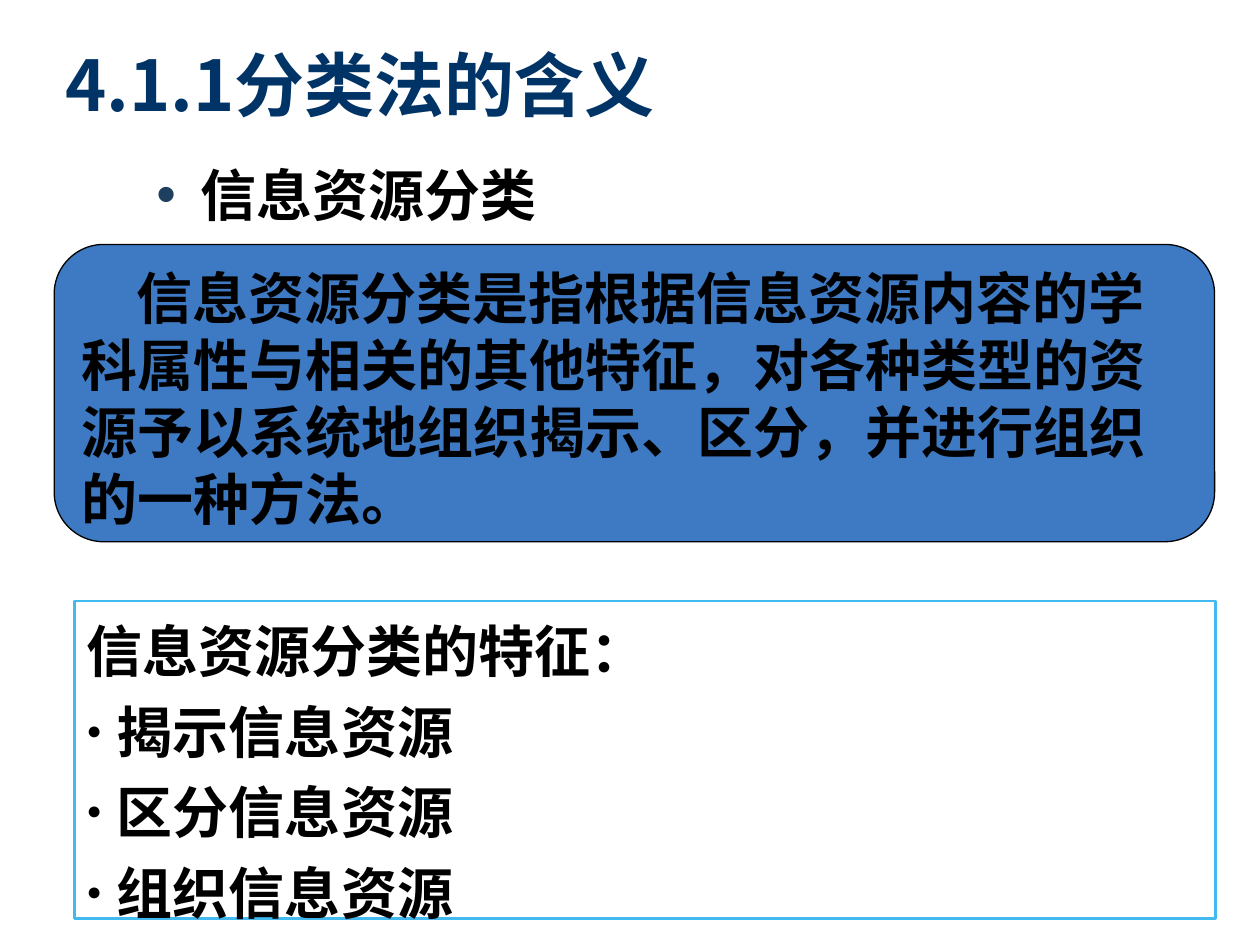
"""Build the slide on what classification of information resources means."""
from dataclasses import dataclass
from typing import NamedTuple, Optional

from lxml import etree
from pptx import Presentation
from pptx import util as u
from pptx.dml.color import RGBColor as Rgb
from pptx.enum import shapes, text
from pptx.oxml.ns import qn


@dataclass(frozen=True)
class Theme:
    navy: str = "003366"
    slate: str = "1F3F5F"
    black: str = "000000"
    white: str = "FFFFFF"
    blue: str = "3D7AC3"
    sky: str = "42BAF0"
    latin: str = "Arial"
    asian: str = "Noto Sans CJK SC"
    head: int = 40
    size: int = 32


class Mark(NamedTuple):
    char: str
    color: str
    scale: int
    hang: float


class Line(NamedTuple):
    words: str
    pitch: float
    mark: Optional[Mark] = None
    indent: float = 0


class Panel(NamedTuple):
    kind: shapes.MSO_SHAPE
    area: tuple[float, ...]
    fill: str
    edge: str
    weight: float
    lines: list[Line]


THEME = Theme()
DOT = Mark("•", THEME.slate, 100, 0.35)
DISC = Mark("●", THEME.black, 45, 0.24)
MEANING = ["信息资源分类是指根据信息资源内容的学", "科属性与相关的其他特征，对各种类型的资",
           "源予以系统地组织揭示、区分，并进行组织", "的一种方法。"]
TRAITS = ["揭示信息资源", "区分信息资源", "组织信息资源"]
PANELS = [
    Panel(shapes.MSO_SHAPE.ROUNDED_RECTANGLE, (0.43, 1.94, 9.21, 2.36),
          THEME.blue, THEME.black, 0.75,
          [Line(words, 38.4, indent=0 if i else 0.44) for i, words in enumerate(MEANING)]),
    Panel(shapes.MSO_SHAPE.RECTANGLE, (0.59, 4.77, 9.06, 2.52),
          THEME.white, THEME.sky, 1.5,
          [Line("信息资源分类的特征：", 46)] + [Line(words, 46, DISC) for words in TRAITS]),
]


def place(shape, area: tuple[float, ...]) -> None:
    """Move and size a shape in inches."""
    shape.left, shape.top, shape.width, shape.height = map(u.Inches, area)


def add_run(para, words: str, size: int, color: str, face: str) -> None:
    """Add one bold run."""
    run = para.add_run()
    run.text = words
    font = run.font
    font.size, font.bold, font.name = u.Pt(size), True, face
    font.color.rgb = Rgb.from_string(color)
    etree.SubElement(font._element, qn("a:ea"), typeface=THEME.asian)


def set_mark(para, mark: Optional[Mark], indent: float) -> None:
    """Set the bullet and the indents of a paragraph."""
    props = para._p.get_or_add_pPr()
    hang = mark.hang if mark else 0
    props.set("marL", str(u.Inches(hang)))
    props.set("indent", str(u.Inches(indent - hang)))
    if mark is None:
        etree.SubElement(props, qn("a:buNone"))
        return
    color = etree.SubElement(props, qn("a:buClr"))
    etree.SubElement(color, qn("a:srgbClr"), val=mark.color)
    etree.SubElement(props, qn("a:buSzPct"), val=str(mark.scale * 1000))
    etree.SubElement(props, qn("a:buFont"), typeface=THEME.latin)
    etree.SubElement(props, qn("a:buChar"), char=mark.char)


def write(frame, lines: list[Line]) -> None:
    """Fill a text frame with lines."""
    frame.word_wrap = True
    frame.margin_left = frame.margin_right = u.Inches(0.1)
    frame.margin_top, frame.margin_bottom = u.Inches(0.12), u.Inches(0.05)
    for i, line in enumerate(lines):
        para = frame.add_paragraph() if i else frame.paragraphs[0]
        set_mark(para, line.mark, line.indent)
        para.alignment = text.PP_ALIGN.LEFT
        para.space_before = u.Pt(0)
        para.line_spacing = u.Pt(line.pitch)
        add_run(para, line.words, THEME.size, THEME.black, THEME.latin)


def draw(slide, panel: Panel) -> None:
    """Draw one panel with its text."""
    shape = slide.shapes.add_shape(panel.kind, *map(u.Inches, panel.area))
    shape.shadow.inherit = False
    shape.fill.solid()
    shape.fill.fore_color.rgb = Rgb.from_string(panel.fill)
    shape.line.color.rgb = Rgb.from_string(panel.edge)
    shape.line.width = u.Pt(panel.weight)
    shape.text_frame.vertical_anchor = text.MSO_ANCHOR.MIDDLE
    write(shape.text_frame, panel.lines)


def main() -> None:
    """Build and save the deck."""
    deck = Presentation()
    deck.slide_width, deck.slide_height = u.Inches(10), u.Inches(7.5)
    slide = deck.slides.add_slide(deck.slide_layouts[1])

    title = slide.shapes.title
    place(title, (0.42, 0.33, 9.33, 0.67))
    frame = title.text_frame
    frame.auto_size = text.MSO_AUTO_SIZE.NONE
    frame.vertical_anchor = text.MSO_ANCHOR.MIDDLE
    para = frame.paragraphs[0]
    para.alignment = text.PP_ALIGN.LEFT
    add_run(para, "4.1.1分类法的含义", THEME.head, THEME.navy, THEME.asian)

    body = slide.placeholders[1]
    place(body, (1.14, 1.15, 3.86, 0.64))
    body.text_frame.auto_size = text.MSO_AUTO_SIZE.NONE
    write(body.text_frame, [Line("信息资源分类", 38.4, DOT)])

    for panel in PANELS:
        draw(slide, panel)
    deck.save("out.pptx")


if __name__ == "__main__":
    main()
